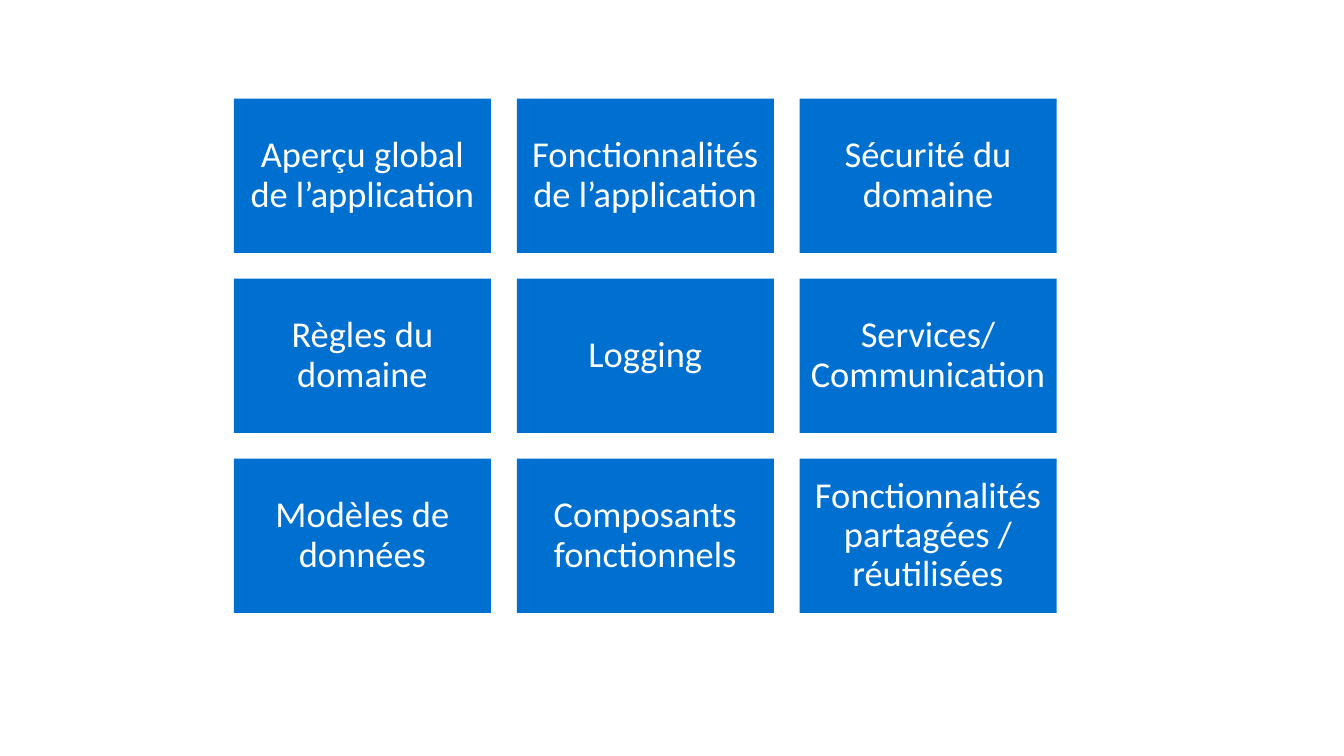
import pptx
import pptx.dml.color
import pptx.enum.shapes
import pptx.enum.text
import pptx.util

SLIDE_WIDTH, SLIDE_HEIGHT = 13.33, 7.5
GRID_COLUMNS, GRID_ROWS = 32, 20
TOPIC_COLUMNS, TOPIC_ROWS, GAP = 10, 6, 1
TOPIC_INSET = 0.11
BLUE, WHITE = "0070D0", "FFFFFF"

TOPICS = [
    ["Aperçu global de l’application", "Fonctionnalités de l’application", "Sécurité du domaine"],
    ["Règles du domaine", "Logging", "Services/\nCommunication"],
    ["Modèles de données", "Composants fonctionnels", "Fonctionnalités partagées / réutilisées"],
]


def paint(color_format, hex_color):
    """Apply a hex colour to a fill or a font."""
    color_format.rgb = pptx.dml.color.RGBColor.from_string(hex_color)


def add_topic(slide, label, left, top, width, height):
    """Draw one topic tile with its centred label."""
    topic = slide.shapes.add_shape(
        pptx.enum.shapes.MSO_SHAPE.RECTANGLE,
        *(pptx.util.Inches(length) for length in (left, top, width, height)),
    )
    topic.shadow.inherit = False
    topic.fill.solid()
    paint(topic.fill.fore_color, BLUE)
    topic.line.fill.background()
    frame = topic.text_frame
    frame.word_wrap = True
    frame.vertical_anchor = pptx.enum.text.MSO_ANCHOR.MIDDLE
    frame.margin_left = frame.margin_right = pptx.util.Inches(TOPIC_INSET)
    frame.margin_top = frame.margin_bottom = pptx.util.Inches(TOPIC_INSET)
    paragraph = frame.paragraphs[0]
    paragraph.alignment = pptx.enum.text.PP_ALIGN.CENTER
    paragraph.line_spacing = 0.9
    for index, words in enumerate(label.split("\n")):
        if index:
            paragraph.add_line_break()
        run = paragraph.add_run()
        run.text = words
        run.font.name = "Calibri"
        run.font.size = pptx.util.Pt(26)
        paint(run.font.color, WHITE)


def add_topic_grid(slide, topics, left, top, width, height):
    """Lay the topics out in equal rows and columns inside the box."""
    column, row = width / GRID_COLUMNS, height / GRID_ROWS
    for row_index, labels in enumerate(topics):
        for column_index, label in enumerate(labels):
            add_topic(
                slide,
                label,
                left + column_index * (TOPIC_COLUMNS + GAP) * column,
                top + row_index * (TOPIC_ROWS + GAP) * row,
                TOPIC_COLUMNS * column,
                TOPIC_ROWS * row,
            )


def main():
    """Build the slide of application topics and save it."""
    presentation = pptx.Presentation()
    presentation.slide_width = pptx.util.Inches(SLIDE_WIDTH)
    presentation.slide_height = pptx.util.Inches(SLIDE_HEIGHT)
    slide = presentation.slides.add_slide(presentation.slide_layouts[6])
    add_topic_grid(slide, TOPICS, left=2.32, top=0.98, width=8.16, height=5.1)
    presentation.save("out.pptx")


if __name__ == "__main__":
    main()
